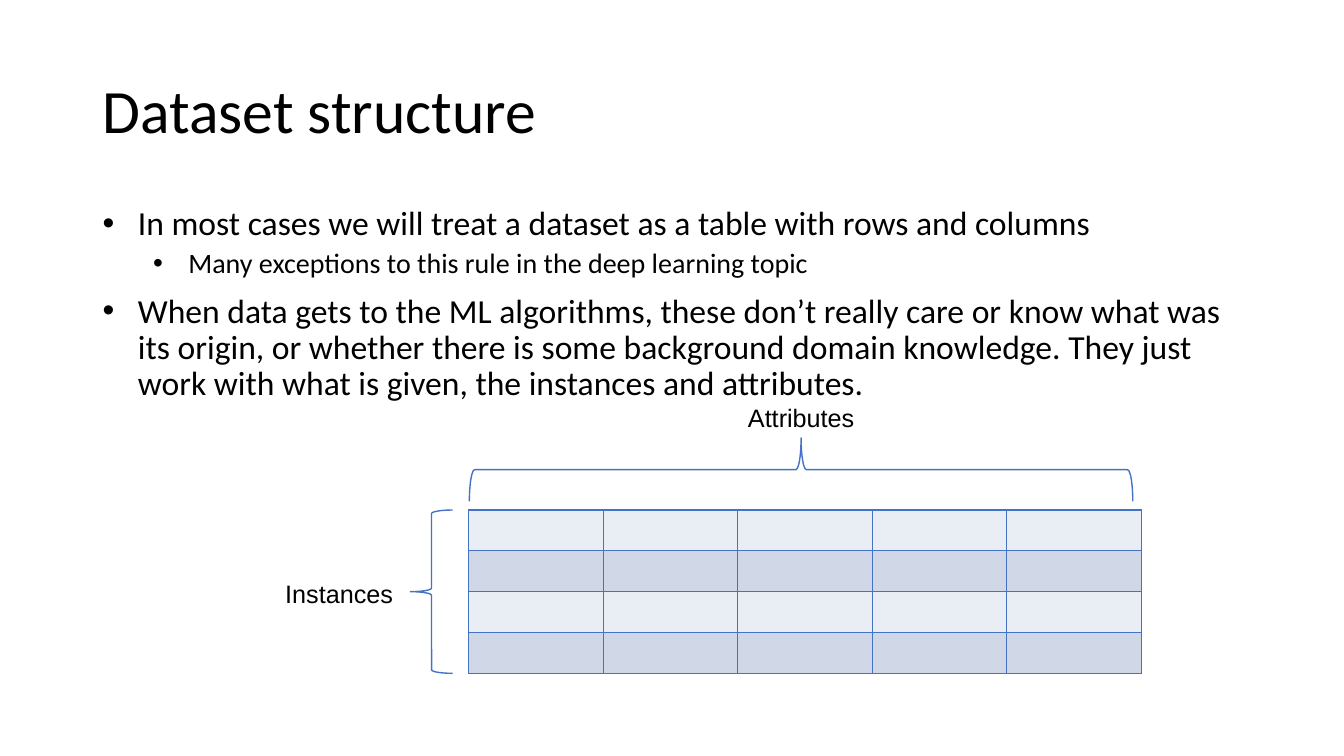
from dataclasses import dataclass

from lxml.etree import SubElement
from pptx import Presentation
from pptx.dml.color import RGBColor
from pptx.enum.shapes import MSO_SHAPE
from pptx.enum.text import MSO_ANCHOR, MSO_AUTO_SIZE, PP_ALIGN
from pptx.oxml.ns import qn
from pptx.util import Inches, Pt


@dataclass(frozen=True)
class Theme:
    ink: str = "000000"
    accent: str = "4472C4"
    bands: tuple = ("E9EDF4", "D0D8E8")
    heading_font: str = "Calibri"
    label_font: str = "Arial"
    title_size: int = 44
    body_sizes: tuple = (24, 20)
    label_size: int = 18
    line_width: int = 1


def write_text(para, text, *, font, size, color, spacing=None, before=0, align=PP_ALIGN.LEFT):
    para.alignment = align
    para.space_before = Pt(before)
    if spacing:
        para.line_spacing = spacing
    span = para.add_run()
    span.text = text
    span.font.name = font
    span.font.size = Pt(size)
    span.font.color.rgb = RGBColor.from_string(color)


def add_bullet(para, indent, hanging):
    properties = para._p.get_or_add_pPr()
    properties.set("marL", str(Inches(indent)))
    properties.set("indent", str(-Inches(hanging)))
    SubElement(properties, qn("a:buFont")).set("typeface", "Arial")
    SubElement(properties, qn("a:buChar")).set("char", "•")


def add_borders(cell, color, width):
    properties = cell._tc.get_or_add_tcPr()
    for side in ("lnL", "lnR", "lnT", "lnB"):
        border = SubElement(properties, qn(f"a:{side}"), w=str(Pt(width)))
        fill = SubElement(border, qn("a:solidFill"))
        SubElement(fill, qn("a:srgbClr"), val=color)


class SlideBuilder:
    def __init__(self, slide, theme):
        self.slide = slide
        self.theme = theme

    def frame(self, left, top, width, height, wrap=True, anchor=MSO_ANCHOR.TOP):
        box = self.slide.shapes.add_textbox(
            Inches(left), Inches(top), Inches(width), Inches(height))
        frame = box.text_frame
        frame.word_wrap = wrap
        frame.vertical_anchor = anchor
        return frame

    def title(self, text, *bounds):
        frame = self.frame(*bounds, anchor=MSO_ANCHOR.MIDDLE)
        write_text(frame.paragraphs[0], text, font=self.theme.heading_font,
                   size=self.theme.title_size, color=self.theme.ink, spacing=0.9)

    def bullets(self, items, *bounds):
        frame = self.frame(*bounds)
        for index, (level, text) in enumerate(items):
            para = frame.add_paragraph() if index else frame.paragraphs[0]
            para.level = level
            before = (10, 5)[level] if index else 0
            write_text(para, text, font=self.theme.heading_font,
                       size=self.theme.body_sizes[level], color=self.theme.ink,
                       spacing=0.9, before=before)
            add_bullet(para, 0.35 + 0.5 * level, 0.35)

    def label(self, text, *bounds):
        frame = self.frame(*bounds, wrap=False)
        frame.auto_size = MSO_AUTO_SIZE.SHAPE_TO_FIT_TEXT
        write_text(frame.paragraphs[0], text, font=self.theme.label_font,
                   size=self.theme.label_size, color=self.theme.ink)

    def brace(self, left, top, width, height, rotation=0):
        brace = self.slide.shapes.add_shape(
            MSO_SHAPE.LEFT_BRACE, Inches(left), Inches(top), Inches(width), Inches(height))
        brace.rotation = rotation
        brace.shadow.inherit = False
        brace.fill.background()
        brace.line.color.rgb = RGBColor.from_string(self.theme.accent)
        brace.line.width = Pt(self.theme.line_width)

    def grid(self, rows, columns, left, top, width, height):
        table = self.slide.shapes.add_table(
            rows, columns, Inches(left), Inches(top), Inches(width), Inches(height)).table
        table.first_row = False
        for row_index, row in enumerate(table.rows):
            band = self.theme.bands[row_index % len(self.theme.bands)]
            for cell in row.cells:
                add_borders(cell, self.theme.accent, self.theme.line_width)
                cell.fill.solid()
                cell.fill.fore_color.rgb = RGBColor.from_string(band)


def main():
    deck = Presentation()
    deck.slide_width = Inches(13.33)
    deck.slide_height = Inches(7.5)
    page = SlideBuilder(deck.slides.add_slide(deck.slide_layouts[6]), Theme())

    page.title("Dataset structure", 0.92, 0.4, 11.5, 1.45)
    page.bullets([
        (0, "In most cases we will treat a dataset as a table with rows and columns"),
        (1, "Many exceptions to this rule in the deep learning topic"),
        (0, "When data gets to the ML algorithms, these don’t really care or know what was "
            "its origin, or whether there is some background domain knowledge. They just "
            "work with what is given, the instances and attributes."),
    ], 0.92, 2, 11.5, 4.76)
    page.grid(4, 5, 4.65, 5.06, 6.67, 1.62)
    page.brace(4.07, 5.06, 0.42, 1.62)
    page.brace(7.63, 1.37, 0.63, 6.58, rotation=90)
    page.label("Instances", 2.73, 5.69, 1.28, 0.4)
    page.label("Attributes", 7.32, 3.94, 1.28, 0.4)

    deck.save("out.pptx")


if __name__ == "__main__":
    main()
